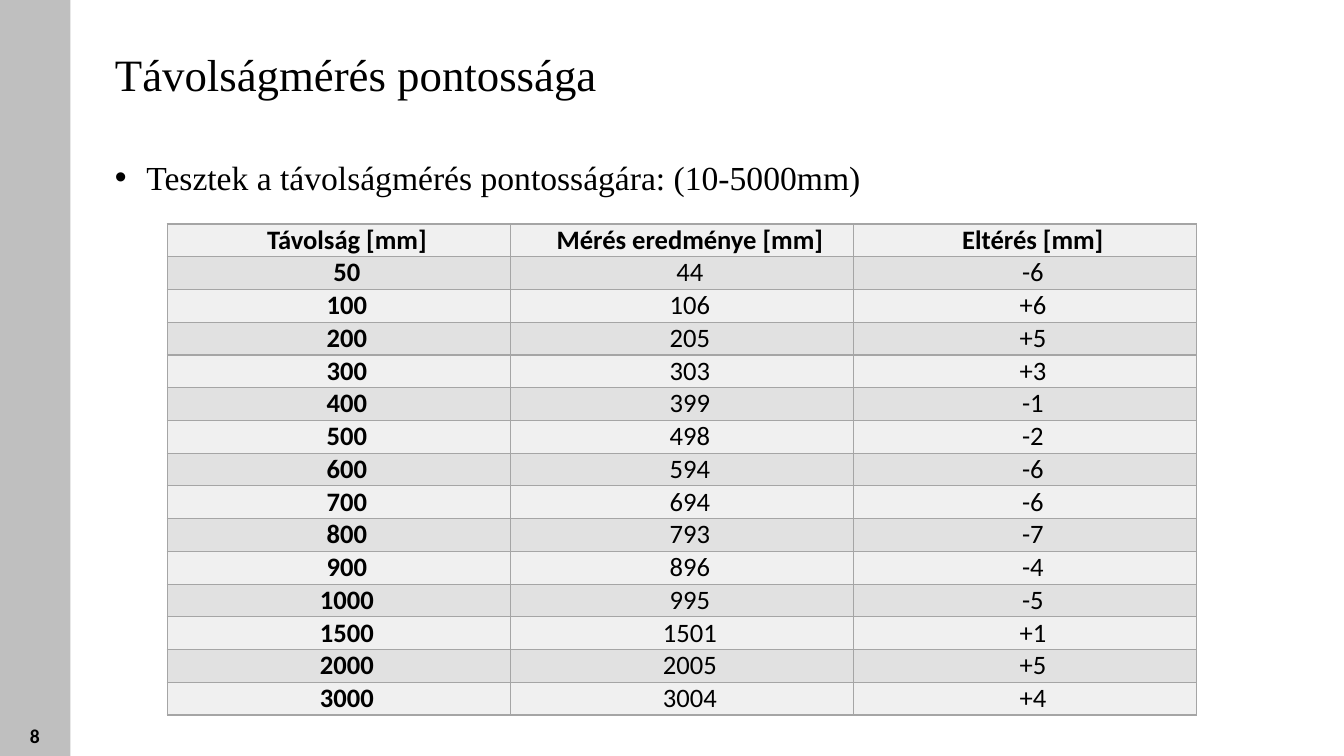
import dataclasses

import lxml.etree
import pptx
import pptx.dml.color
import pptx.enum.shapes
import pptx.enum.text
import pptx.oxml.ns
import pptx.util

Pt = pptx.util.Pt
ALIGN = pptx.enum.text.PP_ALIGN
ANCHOR = pptx.enum.text.MSO_ANCHOR


@dataclasses.dataclass(frozen=True)
class Theme:
    """Colours, fonts and type sizes of the slide."""
    ink: str = "000000"
    sidebar: str = "BFBFBF"
    border: str = "A5A5A5"
    bands: tuple = ("F0F0F0", "E1E1E1")
    serif: str = "Times New Roman"
    sans: str = "Calibri"
    title_size: float = 32
    body_size: float = 24
    table_size: float = 19
    number_size: float = 14


THEME = Theme()
HEADERS = ("Távolság [mm]", "Mérés eredménye [mm]", "Eltérés [mm]")
MEASUREMENTS = (
    (50, 44), (100, 106), (200, 205), (300, 303), (400, 399), (500, 498), (600, 594),
    (700, 694), (800, 793), (900, 896), (1000, 995), (1500, 1501), (2000, 2005), (3000, 3004),
)


def rgb(value):
    """Turn a hex string into a colour."""
    return pptx.dml.color.RGBColor.from_string(value)


def add_element(parent, tag, **attributes):
    """Append an XML element with the given attributes."""
    return lxml.etree.SubElement(parent, pptx.oxml.ns.qn(tag), attributes)


def write_text(frame, text, *, font, size, bold=False, align=ALIGN.LEFT):
    """Write one formatted paragraph into a text frame and return it."""
    para = frame.paragraphs[0]
    para.alignment = align
    span = para.add_run()
    span.text = text
    span.font.name = font
    span.font.size = Pt(size)
    span.font.bold = bold
    span.font.color.rgb = rgb(THEME.ink)
    return para


def add_text_box(page, box, text, *, anchor=ANCHOR.TOP, **style):
    """Add a wrapping text box and return its paragraph."""
    frame = page.shapes.add_textbox(*map(Pt, box)).text_frame
    frame.word_wrap = True
    frame.vertical_anchor = anchor
    return write_text(frame, text, **style)


def add_sidebar(page, box, number):
    """Draw the grey side strip with the slide number at its foot."""
    left, top, width, height = box
    strip = page.shapes.add_shape(pptx.enum.shapes.MSO_SHAPE.RECTANGLE, *map(Pt, box))
    strip.shadow.inherit = False
    strip.fill.solid()
    strip.fill.fore_color.rgb = rgb(THEME.sidebar)
    strip.line.fill.background()
    add_text_box(page, (left + 5, top + height - 29, 30.5, 29), number, anchor=ANCHOR.MIDDLE,
                 font=THEME.sans, size=THEME.number_size, bold=True, align=ALIGN.RIGHT)


def add_heading(page, box, title, bullet):
    """Place the title and the bulleted line below it."""
    left, top, width, height = box
    add_text_box(page, (left, top, 430, 46), title, font=THEME.serif, size=THEME.title_size)
    para = add_text_box(page, (left, top + height - 69, width, 69), bullet,
                        font=THEME.serif, size=THEME.body_size)
    para.line_spacing = Pt(40)
    properties = para._p.get_or_add_pPr()
    properties.set("marL", str(Pt(22.5)))
    properties.set("indent", str(-Pt(22.5)))
    add_element(properties, "a:buFont", typeface="Arial")
    add_element(properties, "a:buChar", char="•")


def format_cell(cell, text, *, fill, bold):
    """Give a table cell its borders, fill and centred text."""
    cell.margin_left = cell.margin_right = Pt(8.5)
    cell.margin_top = cell.margin_bottom = 0
    properties = cell._tc.get_or_add_tcPr()
    for side in "LRTB":
        line = add_element(properties, f"a:ln{side}", w=str(Pt(1)))
        add_element(add_element(line, "a:solidFill"), "a:srgbClr", val=THEME.border)
    cell.fill.solid()
    cell.fill.fore_color.rgb = rgb(fill)
    para = write_text(cell.text_frame, text, font=THEME.sans, size=THEME.table_size,
                      bold=bold, align=ALIGN.CENTER)
    para.space_after = Pt(2)
    para._p.get_or_add_pPr().set("indent", str(Pt(11.5)))


def add_accuracy_table(page, box):
    """Tabulate distance, measured value and their difference."""
    left, top, width, height = box
    rows = [HEADERS] + [(str(distance), str(measured), f"{measured - distance:+d}")
                        for distance, measured in MEASUREMENTS]
    table = page.shapes.add_table(len(rows), len(HEADERS), *map(Pt, box)).table
    for column in table.columns:
        column.width = Pt(width / len(HEADERS))
    for row_index, values in enumerate(rows):
        table.rows[row_index].height = Pt(height / len(rows))
        for column_index, text in enumerate(values):
            format_cell(table.cell(row_index, column_index), text,
                        fill=THEME.bands[row_index % 2],
                        bold=row_index == 0 or column_index == 0)


def main():
    """Build the slide and save the deck."""
    deck = pptx.Presentation()
    deck.slide_width, deck.slide_height = Pt(960), Pt(540)
    page = deck.slides.add_slide(deck.slide_layouts[6])
    add_sidebar(page, (0, 0, 50.4, 540), "8")
    add_heading(page, (75, 29.5, 628, 137), "Távolságmérés pontossága",
                "Tesztek a távolságmérés pontosságára: (10-5000mm)")
    add_accuracy_table(page, (119.5, 160, 735, 351))
    deck.save("out.pptx")


if __name__ == "__main__":
    main()
